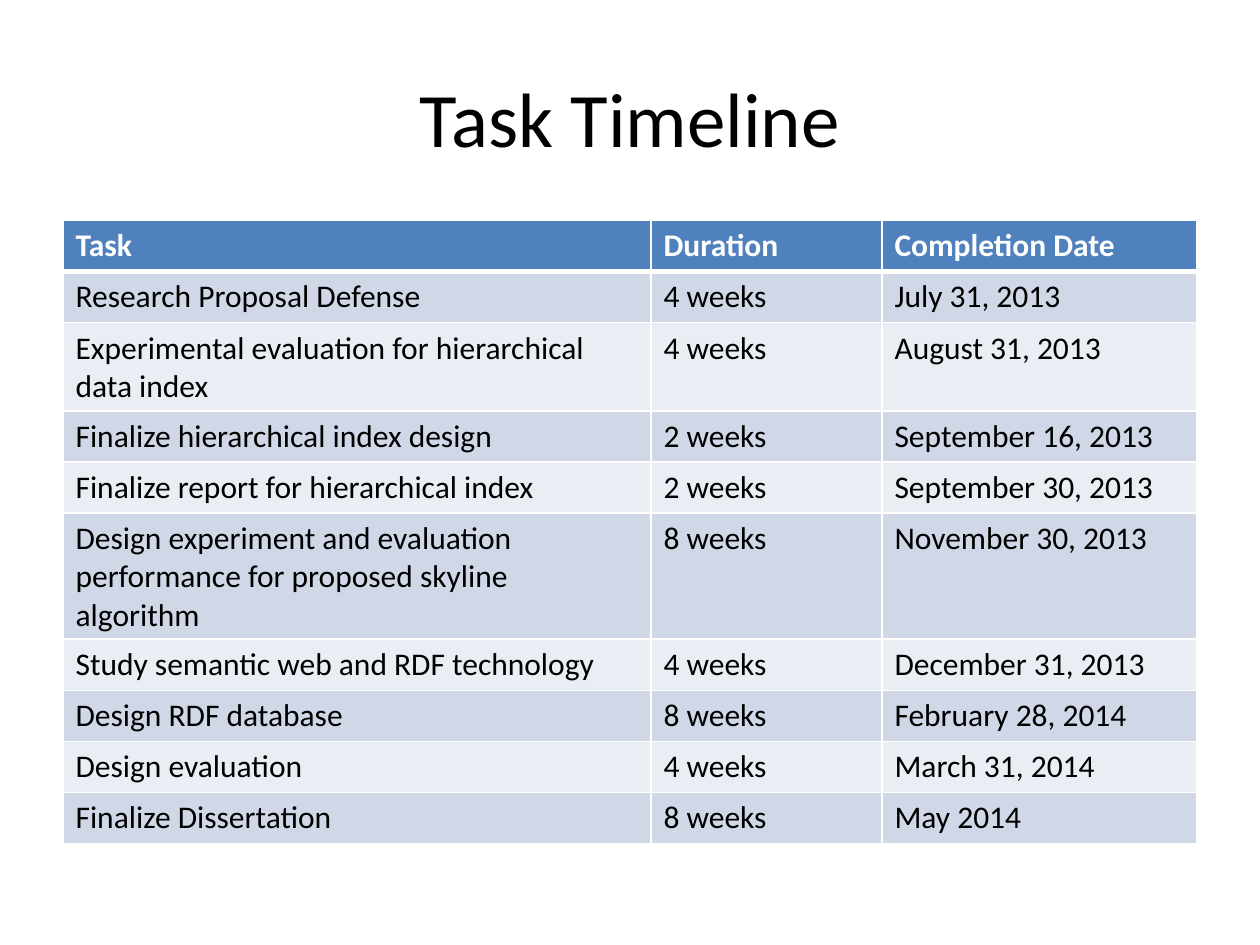
from typing import NamedTuple

from lxml import etree
from pptx import Presentation
from pptx.dml.color import RGBColor
from pptx.enum.text import MSO_ANCHOR, PP_ALIGN
from pptx.oxml.ns import qn
from pptx.util import Pt

MIDDLE = MSO_ANCHOR.MIDDLE
CENTER = PP_ALIGN.CENTER
FONT = "Calibri"
COLORS = {
    "text": "000000",
    "header_text": "FFFFFF",
    "header": "4F81BD",
    "odd_row": "D0D8E8",
    "even_row": "E9EDF4",
    "border": "FFFFFF",
}
LEFT, WIDTH = 36, 648
COLUMN_WIDTHS = (336, 132, 180)
ROW_HEIGHT = 29.2


class Task(NamedTuple):
    name: str
    duration: str
    completion: str


HEADER = Task("Task", "Duration", "Completion Date")
TASKS = [
    Task("Research Proposal Defense", "4 weeks", "July 31, 2013"),
    Task("Experimental evaluation for hierarchical data index", "4 weeks", "August 31, 2013"),
    Task("Finalize hierarchical index design", "2 weeks", "September 16, 2013"),
    Task("Finalize report for hierarchical index", "2 weeks", "September 30, 2013"),
    Task("Design experiment and evaluation performance for proposed skyline algorithm",
         "8 weeks", "November 30, 2013"),
    Task("Study semantic web and RDF technology", "4 weeks", "December 31, 2013"),
    Task("Design RDF database", "8 weeks", "February 28, 2014"),
    Task("Design evaluation", "4 weeks", "March 31, 2014"),
    Task("Finalize Dissertation", "8 weeks", "May 2014"),
]


def style_text(p, size: float, color: str, bold: bool = False) -> None:
    for r in p.runs:
        r.font.name = FONT
        r.font.size = Pt(size)
        r.font.bold = bold
        r.font.color.rgb = RGBColor.from_string(COLORS[color])


def set_borders(cell, top: float, bottom: float) -> None:
    """Draw the cell's four borders; the side borders are 1 pt wide."""
    tc_pr = cell._tc.get_or_add_tcPr()
    for side, width in (("L", 1), ("R", 1), ("T", top), ("B", bottom)):
        line = etree.SubElement(tc_pr, qn(f"a:ln{side}"), w=str(Pt(width)))
        fill = etree.SubElement(line, qn("a:solidFill"))
        etree.SubElement(fill, qn("a:srgbClr"), val=COLORS["border"])


def add_title(s, text: str) -> None:
    tf = s.shapes.add_textbox(Pt(LEFT), Pt(21.6), Pt(WIDTH), Pt(90)).text_frame
    tf.word_wrap = True
    tf.vertical_anchor = MIDDLE
    tf.text = text
    p = tf.paragraphs[0]
    p.alignment = CENTER
    style_text(p, 44, "text")


def add_task_table(s, rows: list[Task]) -> None:
    """Draw the tasks as a banded table whose first row is the header."""
    table = s.shapes.add_table(len(rows), len(COLUMN_WIDTHS), Pt(LEFT), Pt(126),
                               Pt(WIDTH), Pt(ROW_HEIGHT * len(rows))).table
    for column, width in zip(table.columns, COLUMN_WIDTHS):
        column.width = Pt(width)
    for i, task in enumerate(rows):
        table.rows[i].height = Pt(ROW_HEIGHT)
        is_header = i == 0
        band = "header" if is_header else "odd_row" if i % 2 else "even_row"
        for cell, text in zip(table.rows[i].cells, task):
            set_borders(cell, top=3 if i == 1 else 1, bottom=3 if is_header else 1)
            cell.fill.solid()
            cell.fill.fore_color.rgb = RGBColor.from_string(COLORS[band])
            cell.text_frame.text = text
            style_text(cell.text_frame.paragraphs[0], 18,
                       "header_text" if is_header else "text", is_header)


def main() -> None:
    prs = Presentation()
    prs.slide_width, prs.slide_height = Pt(720), Pt(540)
    s = prs.slides.add_slide(prs.slide_layouts[6])
    add_title(s, "Task Timeline")
    add_task_table(s, [HEADER, *TASKS])
    prs.save("out.pptx")


if __name__ == "__main__":
    main()
